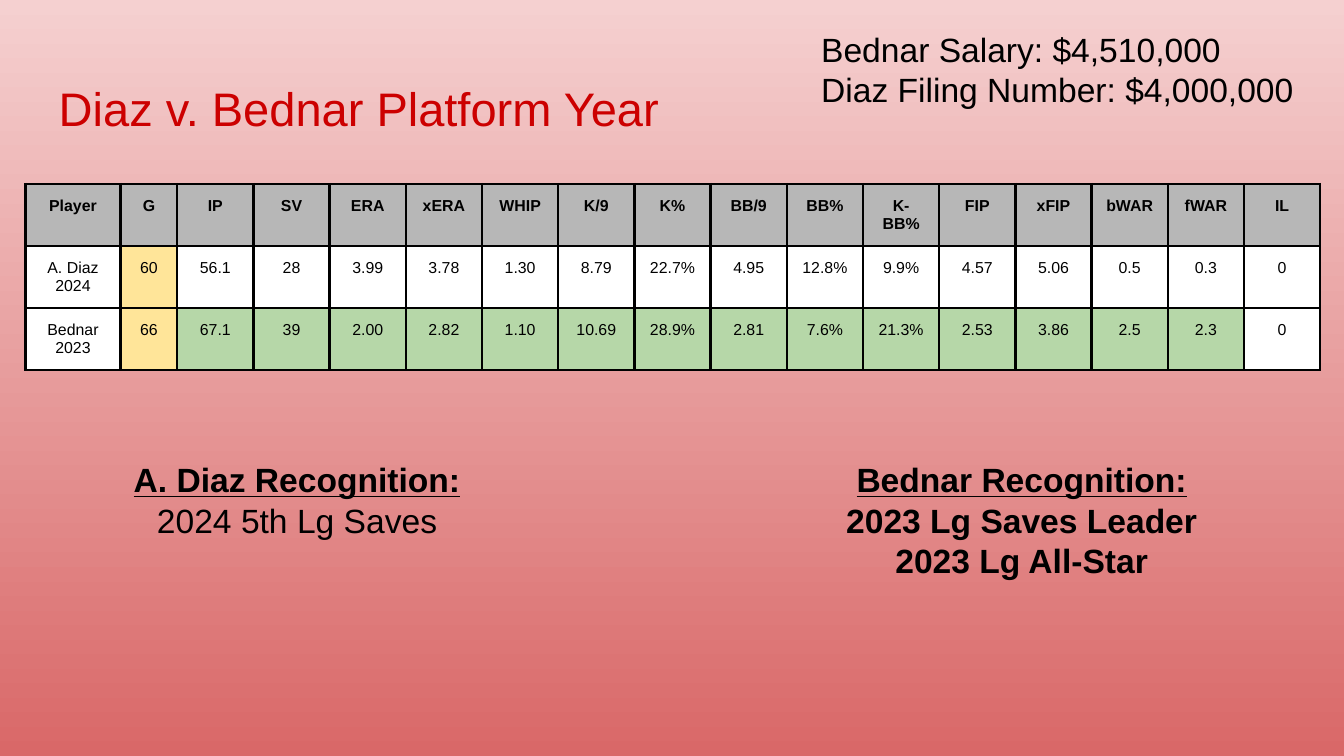
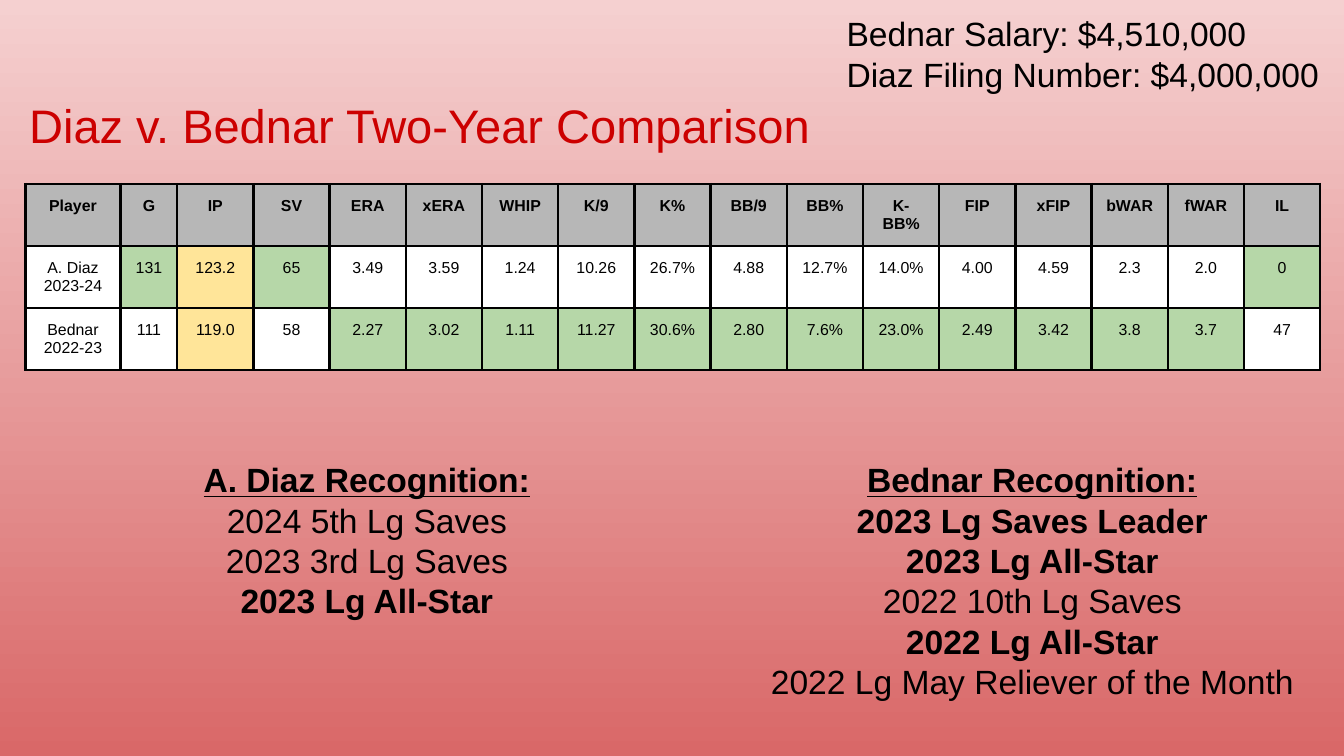
from lxml import etree
from pptx import Presentation
from pptx.dml.color import RGBColor
from pptx.enum import text as t
from pptx.oxml.ns import qn
from pptx.util import Cm, Pt

# Shared look
FONT = "Arial"
RED = RGBColor(0xCC, 0x00, 0x00)
BLACK = RGBColor(0x00, 0x00, 0x00)
WHITE = RGBColor(0xFF, 0xFF, 0xFF)
HEADER_GREY = RGBColor(0xB7, 0xB7, 0xB7)
EVEN_YELLOW = RGBColor(0xFF, 0xE5, 0x99)
BETTER_GREEN = RGBColor(0xB6, 0xD7, 0xA8)
BACKDROP = (RGBColor(0xF5, 0xD0, 0xD0), RGBColor(0xD9, 0x68, 0x68))
INSET = Cm(0.25)
LEFT, CENTER = t.PP_ALIGN.LEFT, t.PP_ALIGN.CENTER

# Content
STATS = ["Player", "G", "IP", "SV", "ERA", "xERA", "WHIP", "K/9", "K%", "BB/9",
         "BB%", "K-\nBB%", "FIP", "xFIP", "bWAR", "fWAR", "IL"]
SALARIES = ["Bednar Salary: $4,510,000", "Diaz Filing Number: $4,000,000"]

# "edge" has one letter per column: D Diaz better, B Bednar better, = even, - unmarked.
# Honors are (wording, bold); boxes are (left, top, width, height) in cm.
COMPARISONS = [
    {
        "title": "Diaz v. Bednar Platform Year",
        "title_box": (0.86, 1.24, 23.67, 1.6),
        "salary_box": (15.27, 0.3, 9.83, 1.42),
        "edge": "-=" + "B" * 14 + "-",
        "diaz": ["A. Diaz\n2024", "60", "56.1", "28", "3.99", "3.78", "1.30", "8.79", "22.7%",
                 "4.95", "12.8%", "9.9%", "4.57", "5.06", "0.5", "0.3", "0"],
        "bednar": ["Bednar\n2023", "66", "67.1", "39", "2.00", "2.82", "1.10", "10.69", "28.9%",
                   "2.81", "7.6%", "21.3%", "2.53", "3.86", "2.5", "2.3", "0"],
        "recognition": [
            ("A. Diaz Recognition:", (1.73, 8.43, 7.77, 3.3), [("2024 5th Lg Saves", False)]),
            ("Bednar Recognition:", (15.27, 8.43, 8.08, 3.3),
             [("2023 Lg Saves Leader", True), ("2023 Lg All-Star", True)]),
        ],
    },
    {
        "title": "Diaz v. Bednar Two-Year Comparison",
        "title_box": (0.3, 1.55, 23.67, 1.6),
        "salary_box": (15.75, 0, 9.65, 2.06),
        "edge": "-D=D" + "B" * 12 + "D",
        "diaz": ["A. Diaz\n2023-24", "131", "123.2", "65", "3.49", "3.59", "1.24", "10.26", "26.7%",
                 "4.88", "12.7%", "14.0%", "4.00", "4.59", "2.3", "2.0", "0"],
        "bednar": ["Bednar\n2022-23", "111", "119.0", "58", "2.27", "3.02", "1.11", "11.27", "30.6%",
                   "2.80", "7.6%", "23.0%", "2.49", "3.42", "3.8", "3.7", "47"],
        "recognition": [
            ("A. Diaz Recognition:", (1.73, 8.43, 10.41, 3.3),
             [("2024 5th Lg Saves", False), ("2023 3rd Lg Saves", False),
              ("2023 Lg All-Star", True)]),
            ("Bednar Recognition:", (14.1, 8.43, 10.82, 4.22),
             [("2023 Lg Saves Leader", True), ("2023 Lg All-Star", True),
              ("2022 10th Lg Saves", False), ("2022 Lg All-Star", True),
              ("2022 Lg May Reliever of the Month", False)]),
        ],
    },
]

# Table geometry
TABLE_LEFT, TABLE_TOP, ROW_HEIGHT = Cm(0.48), Cm(3.48), Cm(1.07)
COLUMN_WIDTHS = [Cm(1.8), Cm(1.07)] + [Cm(1.44)] * (len(STATS) - 2)


def write_lines(frame, lines, size, color=BLACK, align=LEFT):
    """Write one paragraph per (wording, bold, underline) line."""
    for number, (wording, bold, underline) in enumerate(lines):
        paragraph = frame.add_paragraph() if number else frame.paragraphs[0]
        paragraph.alignment = align
        run = paragraph.add_run()
        run.text = wording
        font = run.font
        font.name, font.size, font.bold, font.underline = FONT, Pt(size), bold, underline
        font.color.rgb = color


def set_frame(frame, anchor):
    frame.word_wrap = True
    frame.auto_size = t.MSO_AUTO_SIZE.NONE
    frame.vertical_anchor = anchor
    frame.margin_left = frame.margin_right = frame.margin_top = frame.margin_bottom = INSET


def add_text(slide, box, lines, align=LEFT):
    frame = slide.shapes.add_textbox(*map(Cm, box)).text_frame
    set_frame(frame, t.MSO_ANCHOR.TOP)
    write_lines(frame, lines, 18, align=align)


def add_title(slide, wording, box):
    title = slide.shapes.title
    title.left, title.top, title.width, title.height = map(Cm, box)
    set_frame(title.text_frame, t.MSO_ANCHOR.MIDDLE)
    write_lines(title.text_frame, [(wording, False, False)], 25.2, RED)


def add_borders(cell):
    properties = cell._tc.get_or_add_tcPr()
    for side in ("lnL", "lnR", "lnT", "lnB"):
        line = etree.SubElement(properties, qn(f"a:{side}"), w=str(Pt(1.5)))
        fill = etree.SubElement(line, qn("a:solidFill"))
        etree.SubElement(fill, qn("a:srgbClr"), val=str(BLACK))


def cell_fill(owner, edge):
    if owner == "header":
        return HEADER_GREY
    return {"=": EVEN_YELLOW, owner: BETTER_GREEN}.get(edge, WHITE)


def add_stats(slide, comparison):
    rows = [("header", STATS), ("D", comparison["diaz"]), ("B", comparison["bednar"])]
    table = slide.shapes.add_table(len(rows), len(STATS), TABLE_LEFT, TABLE_TOP,
                                   sum(COLUMN_WIDTHS), ROW_HEIGHT * len(rows)).table
    table.first_row = table.horz_banding = False
    for column, width in zip(table.columns, COLUMN_WIDTHS):
        column.width = width
    for row, (owner, values) in zip(table.rows, rows):
        row.height = ROW_HEIGHT
        for cell, value, edge in zip(row.cells, values, comparison["edge"]):
            cell.margin_left = cell.margin_right = cell.margin_top = cell.margin_bottom = INSET
            lines = [(part, owner == "header", False) for part in value.split("\n")]
            write_lines(cell.text_frame, lines, 8.5, align=CENTER)
            add_borders(cell)
            cell.fill.solid()
            cell.fill.fore_color.rgb = cell_fill(owner, edge)


def set_backdrop(master):
    fill = master.background.fill
    fill.gradient()
    fill.gradient_angle = 270
    for stop, color in zip(fill.gradient_stops, BACKDROP):
        stop.color.rgb = color


def main():
    deck = Presentation()
    deck.slide_width, deck.slide_height = Cm(25.4), Cm(14.29)
    set_backdrop(deck.slide_master)
    for comparison in COMPARISONS:
        slide = deck.slides.add_slide(deck.slide_layouts.get_by_name("Title Only"))
        add_title(slide, comparison["title"], comparison["title_box"])
        add_stats(slide, comparison)
        for heading, box, honors in comparison["recognition"]:
            lines = [(heading, True, True)] + [(honor, bold, False) for honor, bold in honors]
            add_text(slide, box, lines, CENTER)
        add_text(slide, comparison["salary_box"], [(line, False, False) for line in SALARIES])
    deck.save("out.pptx")


if __name__ == "__main__":
    main()
